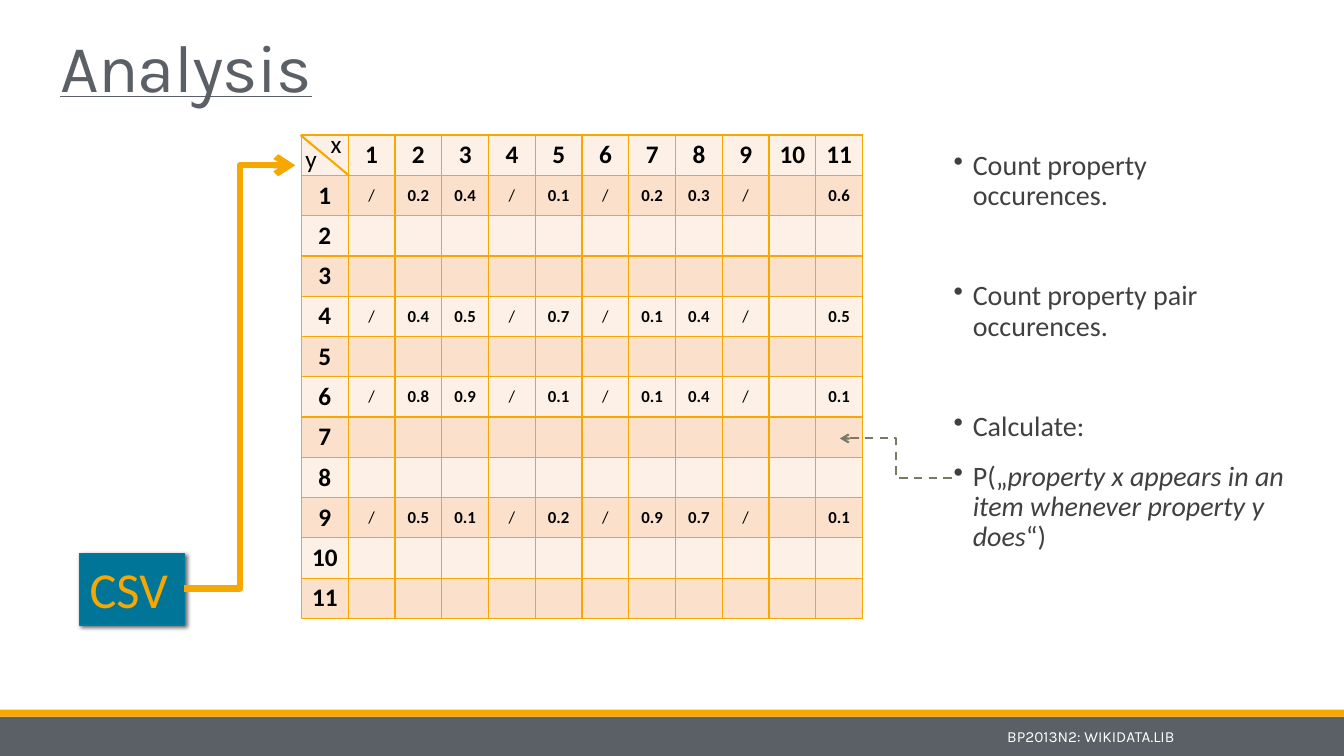
from dataclasses import dataclass

from lxml import etree
from pptx import Presentation
from pptx import util as u
from pptx.dml.color import RGBColor
from pptx.enum import dml, shapes, text
from pptx.oxml import parse_xml
from pptx.oxml.ns import nsdecls, qn

ORANGE, GREY, BLUE = "F6A800", "5A6065", "007A9E"
BLACK, WHITE, BODY_GREY, OLIVE = "000000", "FFFFFF", "404040", "797965"
ROW_FILLS = ("FDF1E7", "FBE1CC")

TABLE_LEFT, TABLE_TOP, TABLE_WIDTH, TABLE_HEIGHT = 2.99, 1.34, 5.57, 4.8
PROPERTY_COUNT = 11
PROBABILITIES = {
    1: ["/", "0.2", "0.4", "/", "0.1", "/", "0.2", "0.3", "/", "", "0.6"],
    4: ["/", "0.4", "0.5", "/", "0.7", "/", "0.1", "0.4", "/", "", "0.5"],
    6: ["/", "0.8", "0.9", "/", "0.1", "/", "0.1", "0.4", "/", "", "0.1"],
    9: ["/", "0.5", "0.1", "/", "0.2", "/", "0.9", "0.7", "/", "", "0.1"],
}


@dataclass
class Label:
    words: str
    left: float
    top: float
    width: float
    height: float
    size: float
    color: str
    font: str = "Calibri"
    anchor: text.MSO_ANCHOR = text.MSO_ANCHOR.TOP
    align: text.PP_ALIGN = text.PP_ALIGN.LEFT
    wrap: bool = True


@dataclass
class Link:
    kind: shapes.MSO_CONNECTOR
    start: tuple[float, float]
    end: tuple[float, float]
    color: str
    weight: float
    arrow: bool = True
    dashed: bool = False


@dataclass
class Step:
    """A bullet: its (words, italic) pieces and the space before it in points."""
    pieces: list[tuple[str, bool]]
    space_before: float


TITLE = Label("Analysis", 0.5, 0, 11.04, 1.1, 48, GREY, "Karla", text.MSO_ANCHOR.BOTTOM)
LABELS = [
    Label("BP2013N2: WIKIDATA.LIB", 1.59, 7.11, 10.16, 0.39, 11, WHITE, "Karla",
          text.MSO_ANCHOR.MIDDLE, text.PP_ALIGN.RIGHT),
    Label("x", 3.18, 1.22, 0.31, 0.4, 18, BLACK, wrap=False),
    Label("y", 2.93, 1.37, 0.33, 0.4, 18, BLACK),
]
LINKS = [
    Link(shapes.MSO_CONNECTOR.ELBOW, (1.83, 5.84), (2.93, 1.64), ORANGE, 4.5),
    Link(shapes.MSO_CONNECTOR.STRAIGHT, (2.98, 1.34), (3.46, 1.74), ORANGE, 1.5, arrow=False),
    Link(shapes.MSO_CONNECTOR.ELBOW, (9.44, 4.74), (8.33, 4.35), OLIVE, 1.5, dashed=True),
]
STEPS = [
    Step([("Count property occurences.", False)], 0),
    Step([("Count property pair occurences.", False)], 48),
    Step([("Calculate:", False)], 48),
    Step([("P(„", False), ("property x appears in an item whenever property y does", True),
          ("“)", False)], 12),
]


def rgb(color: str) -> RGBColor:
    return RGBColor.from_string(color)


def style_font(font, size: float, color: str, name: str = "Calibri") -> None:
    font.size = u.Pt(size)
    font.name = name
    font.color.rgb = rgb(color)


def add_label(slide, label: Label):
    box = slide.shapes.add_textbox(*map(u.Inches, (label.left, label.top, label.width, label.height)))
    frame = box.text_frame
    frame.word_wrap = label.wrap
    frame.vertical_anchor = label.anchor
    frame.text = label.words
    paragraph = frame.paragraphs[0]
    paragraph.alignment = label.align
    style_font(paragraph.runs[0].font, label.size, label.color, label.font)
    return paragraph


def add_rectangle(slide, left: float, top: float, width: float, height: float, color: str):
    shape = slide.shapes.add_shape(shapes.MSO_SHAPE.RECTANGLE,
                                   *map(u.Inches, (left, top, width, height)))
    shape.shadow.inherit = False
    shape.fill.solid()
    shape.fill.fore_color.rgb = rgb(color)
    shape.line.fill.background()
    return shape


def add_csv_box(slide) -> None:
    shape = add_rectangle(slide, 0.79, 5.49, 1.04, 0.71, "007597")
    shape.line.color.rgb = rgb(BLUE)
    shape.line.width = u.Pt(1)
    effects = shape._element.spPr.find(qn("a:effectLst"))
    effects.append(parse_xml(
        f'<a:outerShdw {nsdecls("a")} blurRad="{u.Pt(3)}" dist="{u.Pt(2)}" dir="2700000">'
        f'<a:srgbClr val="{BLACK}"><a:alpha val="60000"/></a:srgbClr></a:outerShdw>'))
    frame = shape.text_frame
    frame.vertical_anchor = text.MSO_ANCHOR.TOP
    frame.text = "CSV"
    frame.paragraphs[0].alignment = text.PP_ALIGN.LEFT
    style_font(frame.paragraphs[0].runs[0].font, 36, ORANGE)


def add_steps(slide) -> None:
    box = slide.shapes.add_textbox(*map(u.Inches, (9.36, 1.45, 3.48, 5.19)))
    frame = box.text_frame
    frame.word_wrap = True
    for index, step in enumerate(STEPS):
        paragraph = frame.add_paragraph() if index else frame.paragraphs[0]
        paragraph.line_spacing = 0.9
        paragraph.space_before = u.Pt(step.space_before)
        paragraph.space_after = u.Pt(2)
        properties = paragraph._p.get_or_add_pPr()
        properties.set("marL", str(u.Inches(0.19)))
        properties.set("indent", str(u.Inches(-0.19)))
        etree.SubElement(properties, qn("a:buChar"), char="•")
        for words, italic in step.pieces:
            run = paragraph.add_run()
            run.text = words
            style_font(run.font, 20, BODY_GREY)
            run.font.italic = italic


def add_borders(cell) -> None:
    properties = cell._tc.get_or_add_tcPr()
    for index, side in enumerate(("lnL", "lnR", "lnT", "lnB")):
        properties.insert(index, parse_xml(
            f'<a:{side} {nsdecls("a")} w="{u.Pt(1)}"><a:solidFill>'
            f'<a:srgbClr val="{ORANGE}"/></a:solidFill></a:{side}>'))


def cell_words(row: int, column: int) -> str:
    if row and column:
        return PROBABILITIES[row][column - 1] if row in PROBABILITIES else ""
    return str(row or column or "")


def add_probability_table(slide) -> None:
    size = PROPERTY_COUNT + 1
    table = slide.shapes.add_table(
        size, size, *map(u.Inches, (TABLE_LEFT, TABLE_TOP, TABLE_WIDTH, TABLE_HEIGHT))).table
    table.first_row = table.horz_banding = False
    for column in table.columns:
        column.width = u.Inches(TABLE_WIDTH / size)
    for row_index, row in enumerate(table.rows):
        row.height = u.Inches(TABLE_HEIGHT / size)
        for column_index, cell in enumerate(row.cells):
            cell.fill.solid()
            cell.fill.fore_color.rgb = rgb(ROW_FILLS[row_index % 2])
            add_borders(cell)
            cell.margin_left = cell.margin_right = u.Inches(0.05)
            cell.margin_top = cell.margin_bottom = u.Inches(0.04)
            cell.vertical_anchor = text.MSO_ANCHOR.MIDDLE
            words = cell_words(row_index, column_index)
            cell.text_frame.text = words
            paragraph = cell.text_frame.paragraphs[0]
            paragraph.alignment = text.PP_ALIGN.CENTER
            is_header = row_index == 0 or column_index == 0
            paragraph.font.size = u.Pt(12)
            for run in paragraph.runs:
                style_font(run.font, 18 if is_header else 12, BLACK)
                run.font.bold = words != "/"


def add_link(slide, link: Link) -> None:
    connector = slide.shapes.add_connector(link.kind, *map(u.Inches, (*link.start, *link.end)))
    connector.line.color.rgb = rgb(link.color)
    connector.line.width = u.Pt(link.weight)
    if link.dashed:
        connector.line.dash_style = dml.MSO_LINE.DASH
    if link.arrow:
        etree.SubElement(connector.line._get_or_add_ln(), qn("a:tailEnd"), type="arrow")
    etree.SubElement(connector._element.spPr, qn("a:effectLst"))


def main() -> None:
    presentation = Presentation()
    presentation.slide_width, presentation.slide_height = u.Inches(13.33), u.Inches(7.5)
    slide = presentation.slides.add_slide(presentation.slide_layouts[6])
    add_rectangle(slide, 0, 7.11, 13.33, 0.39, GREY)
    add_rectangle(slide, 0, 7.04, 13.33, 0.07, ORANGE)
    title = add_label(slide, TITLE)
    title.line_spacing = 0.85
    title.runs[0].font.underline = True
    title.runs[0].font._element.set("spc", "-50")
    add_steps(slide)
    add_csv_box(slide)
    add_probability_table(slide)
    for label in LABELS:
        add_label(slide, label)
    for link in LINKS:
        add_link(slide, link)
    presentation.save("out.pptx")


if __name__ == "__main__":
    main()
